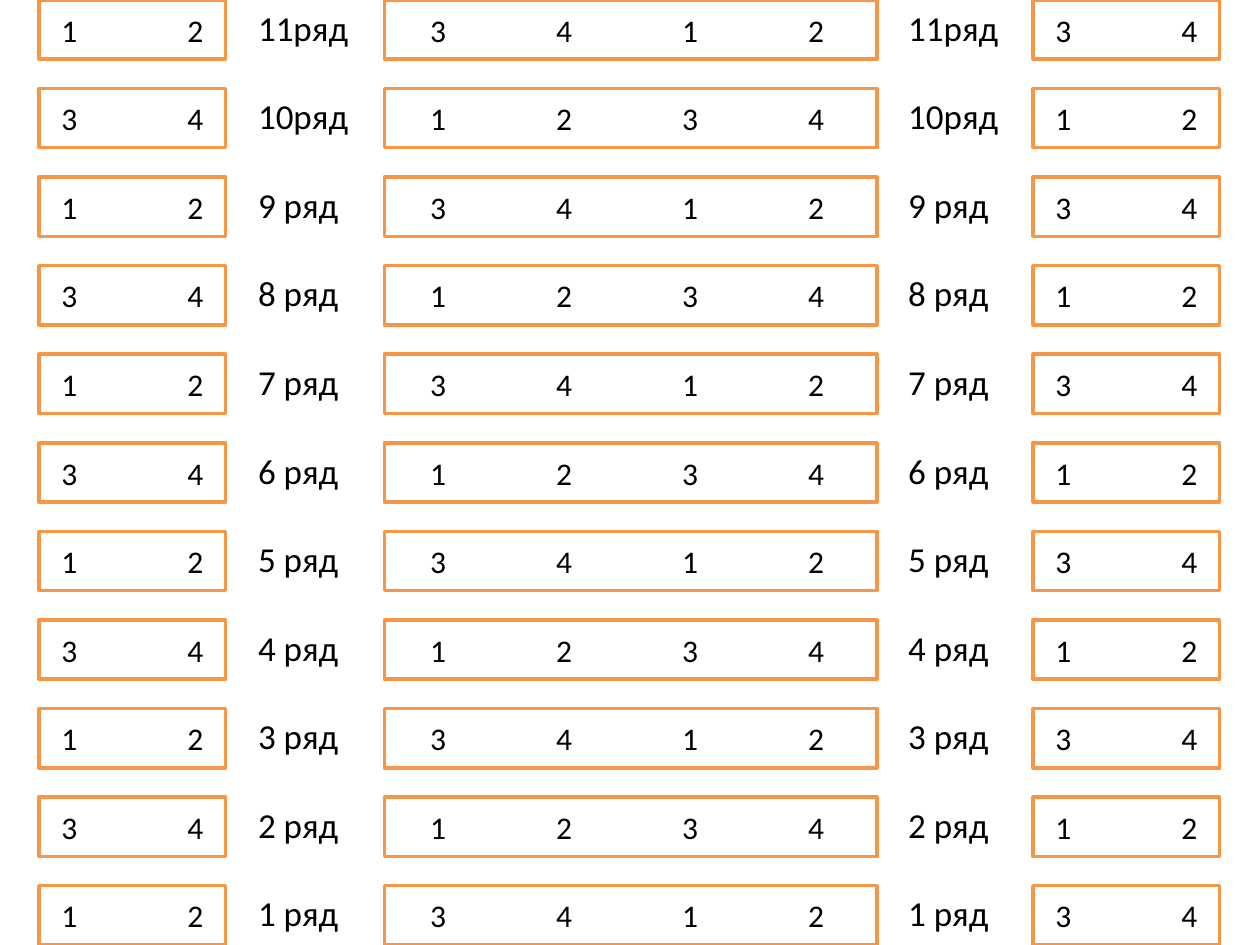
from dataclasses import dataclass

from lxml.etree import SubElement
from pptx import Presentation
from pptx.dml.color import RGBColor
from pptx.enum.shapes import MSO_SHAPE
from pptx.enum.text import MSO_ANCHOR, MSO_AUTO_SIZE, PP_ALIGN
from pptx.oxml.ns import qn
from pptx.slide import Slide
from pptx.text.text import _Paragraph
from pptx.util import Inches, Pt

COLORS = {"seat": "FFFFFF", "border": "F79646", "text": "000000"}
SLIDE_WIDTH, SLIDE_HEIGHT = 10, 7.5
ROW_COUNT = 11
BLOCK_HEIGHT = 0.47
ROW_PITCH = (SLIDE_HEIGHT - BLOCK_HEIGHT) / (ROW_COUNT - 1)
LABEL_LEFTS = (1.95, 7.11)
LABEL_WIDTH, LABEL_HEIGHT = 0.94, 0.44
SEAT_GAP = 1


@dataclass(frozen=True)
class SeatBlock:
    left: float
    width: float
    odd_row: str
    even_row: str


BLOCKS = (
    SeatBlock(0.31, 1.48, "1\t2", "3\t4"),
    SeatBlock(8.2, 1.48, "3\t4", "1\t2"),
    SeatBlock(3.05, 3.91, "3 \t4 \t1 \t2 ", "1 \t2 \t3 \t4 "),
)


def color(name: str) -> RGBColor:
    return RGBColor.from_string(COLORS[name])


def write(paragraph: _Paragraph, text: str, size: int) -> None:
    run = paragraph.add_run()
    run.text = text
    for attribute, value in {"name": "Calibri", "size": Pt(size)}.items():
        setattr(run.font, attribute, value)
    run.font.color.rgb = color("text")


def add_seat_tabs(paragraph: _Paragraph, count: int) -> None:
    tabs = SubElement(paragraph._p.get_or_add_pPr(), qn("a:tabLst"))
    for number in range(1, count + 1):
        SubElement(tabs, qn("a:tab"), pos=str(Inches(number * SEAT_GAP)), algn="l")


def draw_seats(slide: Slide, block: SeatBlock, row: int, top: float) -> None:
    seats = slide.shapes.add_shape(
        MSO_SHAPE.RECTANGLE,
        Inches(block.left), Inches(top), Inches(block.width), Inches(BLOCK_HEIGHT),
    )
    seats.shadow.inherit = False
    seats.fill.solid()
    seats.fill.fore_color.rgb = color("seat")
    seats.line.color.rgb = color("border")
    seats.line.width = Pt(2)
    seats.text_frame.vertical_anchor = MSO_ANCHOR.MIDDLE
    numbers = block.odd_row if row % 2 else block.even_row
    paragraph = seats.text_frame.paragraphs[0]
    paragraph.alignment = PP_ALIGN.CENTER
    add_seat_tabs(paragraph, numbers.count("\t"))
    write(paragraph, numbers, 18)


def draw_label(slide: Slide, left: float, row: int, top: float) -> None:
    label = slide.shapes.add_textbox(
        Inches(left), Inches(top), Inches(LABEL_WIDTH), Inches(LABEL_HEIGHT)
    )
    frame_format = {"word_wrap": True, "auto_size": MSO_AUTO_SIZE.SHAPE_TO_FIT_TEXT}
    for attribute, value in frame_format.items():
        setattr(label.text_frame, attribute, value)
    write(label.text_frame.paragraphs[0], f"{row:<2}ряд", 20)


def main() -> None:
    presentation = Presentation()
    presentation.slide_width = Inches(SLIDE_WIDTH)
    presentation.slide_height = Inches(SLIDE_HEIGHT)
    slide = presentation.slides.add_slide(presentation.slide_layouts[6])
    for row in range(1, ROW_COUNT + 1):
        top = (ROW_COUNT - row) * ROW_PITCH
        for block in BLOCKS:
            draw_seats(slide, block, row, top)
        for left in LABEL_LEFTS:
            draw_label(slide, left, row, top)
    presentation.save("out.pptx")


if __name__ == "__main__":
    main()
